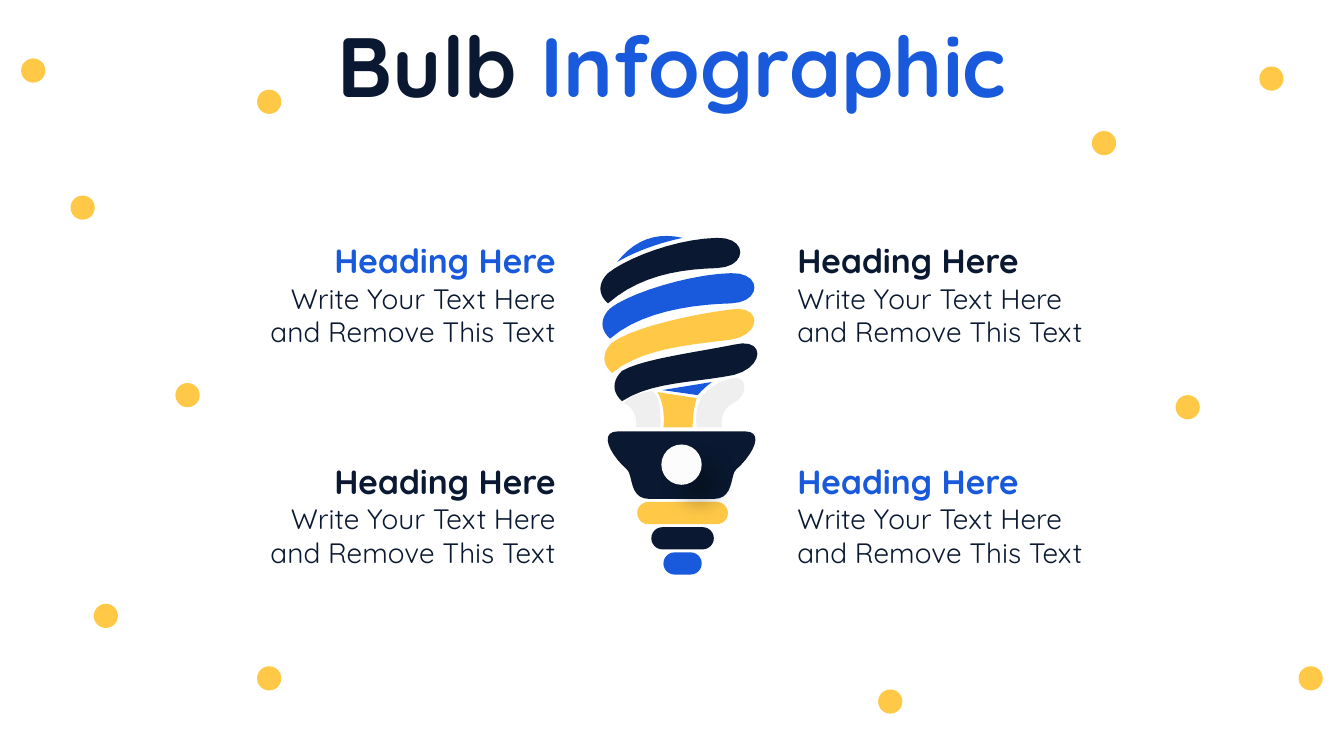
from dataclasses import dataclass
from math import comb

from lxml.etree import SubElement
from pptx import Presentation
from pptx.dml.color import RGBColor
from pptx.enum.shapes import MSO_SHAPE
from pptx.enum.text import MSO_ANCHOR, MSO_AUTO_SIZE, PP_ALIGN
from pptx.oxml.ns import qn
from pptx.util import Pt

PX = 9144
STEPS = 10
MID = 676
FONT = "Quicksand"
COLORS = {"navy": "0A1931", "blue": "185ADB", "gold": "FFC947",
          "grey": "EFEFEF", "white": "FCFCFC"}

Point = tuple[float, float]
Curve = list[Point]


@dataclass
class Band:
    color: str
    tip: Point
    top: Point
    lean: int


@dataclass
class Part:
    color: str
    curves: list[Curve]


@dataclass
class Pill:
    color: str
    width: int


@dataclass
class Note:
    color: str
    top: int
    right: bool


DOTS = [(82, 206), (267, 101), (33, 70), (883, 696), (1300, 673), (1095, 142),
        (1178, 404), (1261, 78), (267, 673), (186, 392), (105, 611)]

PILLS = [Pill("gold", 90), Pill("navy", 62), Pill("blue", 38)]

NOTES = [Note("navy", 233, False), Note("blue", 452, False),
         Note("blue", 233, True), Note("navy", 452, True)]

BANDS = [Band("blue", (605, 336), (725, 271), 1),
         Band("gold", (607, 370), (725, 307), 5),
         Band("navy", (617, 398), (728, 342), 8),
         Band("navy", (603, 301), (711, 236), 1)]

PARTS = [
    Part("grey", [[(716, 424)], [(691, 424)], [(686, 385), (727, 375)],
                  [(744, 373), (740, 395), (727, 400)], [(714, 407), (716, 424)]]),
    Part("gold", [[(687, 424)], [(658, 424)], [(660, 403), (652, 389)],
                  [(691, 395)], [(687, 408), (687, 424)]]),
    Part("grey", [[(655, 424)], [(631, 424)], [(632, 406), (619, 400)],
                  [(625, 391), (647, 388)], [(656, 394), (655, 424)]]),
    Part("blue", [[(677, 236)], [(638, 227), (612, 260)], [(640, 244), (677, 236)]]),
    Part("blue", [[(706, 379)], [(657, 387)], [(692, 392)], [(697, 386), (706, 379)]]),
]


def tint(name: str) -> RGBColor:
    return RGBColor.from_string(COLORS[name])


def paint(shape, color: str):
    shape.shadow.inherit = False
    shape.fill.solid()
    shape.fill.fore_color.rgb = tint(color)
    shape.line.fill.background()
    return shape


def place(slide, kind, color: str, left: int, top: int, width: int, height: int):
    box = [n * PX for n in (left, top, width, height)]
    return paint(slide.shapes.add_shape(kind, *box), color)


def bend(ends: Curve) -> Curve:
    n = len(ends) - 1
    if n == 1:
        return ends[1:]
    marks = []
    for step in range(1, STEPS + 1):
        t = step / STEPS
        rates = [comb(n, i) * t**i * (1 - t)**(n - i) for i in range(n + 1)]
        marks.append((sum(r * p[0] for r, p in zip(rates, ends)),
                      sum(r * p[1] for r, p in zip(rates, ends))))
    return marks


def trace(slide, part: Part) -> None:
    first = last = part.curves[0][0]
    marks = []
    for curve in part.curves[1:]:
        marks += bend([last, *curve])
        last = curve[-1]
    pen = slide.shapes.build_freeform(first[0] * PX, first[1] * PX)
    pen.add_line_segments([(x * PX, y * PX) for x, y in marks], close=True)
    paint(pen.convert_to_shape(), part.color)


def sweep(band: Band) -> Part:
    (x, y), (right, top) = band.tip, band.top
    base, side = top + 30, y - 30
    return Part(band.color, [
        [band.tip],
        [(x + 30, y - 0.75 * (y - base)), (right - 40, base + band.lean), (right, base)],
        [(right + 31, base - band.lean), (right + 31, top - band.lean), band.top],
        [(right - 40, top + band.lean), (x + 20, side - 0.45 * (side - top)), (x, side)],
        [(x - 10, side + 10), (x - 10, y - 9), band.tip]])


def bowl() -> Part:
    half = [(739, 428), (758, 428), (748, 450), (730, 466),
            (724, 472), (728, 495), (708, 495)]
    flip = [(2 * MID - x, y) for x, y in reversed(half)]
    return Part("navy", [half[:1], half[1:4], half[4:], flip[:1], flip[1:4], flip[4:]])


def shade(shape) -> None:
    effects = shape._element.spPr.find(qn("a:effectLst"))
    outer = SubElement(effects, qn("a:outerShdw"), blurRad=str(Pt(15)),
                       dist=str(Pt(18)), dir="2700000", algn="tl", rotWithShape="0")
    black = SubElement(outer, qn("a:srgbClr"), val="000000")
    SubElement(black, qn("a:alpha"), val="30000")


def write(shape, *runs: tuple[str, str], size: int, bold: bool = False,
          align=PP_ALIGN.LEFT) -> None:
    frame = shape.text_frame
    frame.word_wrap = True
    frame.auto_size = MSO_AUTO_SIZE.NONE
    frame.vertical_anchor = MSO_ANCHOR.TOP
    line = frame.paragraphs[0]
    line.alignment = align
    for text, color in runs:
        run = line.add_run()
        run.text = text
        run.font.name = FONT
        run.font.size = Pt(size)
        run.font.bold = bold
        run.font.color.rgb = tint(color)


def label(slide, note: Note) -> None:
    align = PP_ALIGN.RIGHT if note.right else PP_ALIGN.LEFT
    rows = [("Write Your Text Here and Remove This Text", "navy", 41, 330, 77, 20, False),
            ("Heading Here", note.color, 0, 246, 50, 24, True)]
    for text, color, drop, width, height, size, bold in rows:
        left = 561 - width if note.right else 781
        box = slide.shapes.add_textbox(
            *[n * PX for n in (left, note.top + drop, width, height)])
        write(box, (text, color), size=size, bold=bold, align=align)


def main() -> None:
    deck = Presentation()
    deck.slide_width, deck.slide_height = 1333 * PX, 750 * PX
    slide = deck.slides.add_slide(deck.slide_layouts[5])
    title = slide.shapes.title
    title.left, title.top, title.width, title.height = [
        n * PX for n in (278, 8, 777, 111)]
    write(title, ("Bulb", "navy"), (" Infographic", "blue"), size=60, bold=True,
          align=PP_ALIGN.CENTER)
    for x, y in DOTS:
        place(slide, MSO_SHAPE.OVAL, "gold", x - 12, y - 12, 24, 24)
    for i, pill in enumerate(PILLS):
        bar = place(slide, MSO_SHAPE.ROUNDED_RECTANGLE, pill.color,
                    MID + 1 - pill.width // 2, 498 + 25 * i, pill.width, 22)
        bar.adjustments[0] = 0.5
    for part in [*map(sweep, BANDS), *PARTS, bowl()]:
        trace(slide, part)
    shade(place(slide, MSO_SHAPE.OVAL, "white", MID - 20, 441, 40, 40))
    for note in NOTES:
        label(slide, note)
    deck.save("out.pptx")


if __name__ == "__main__":
    main()
